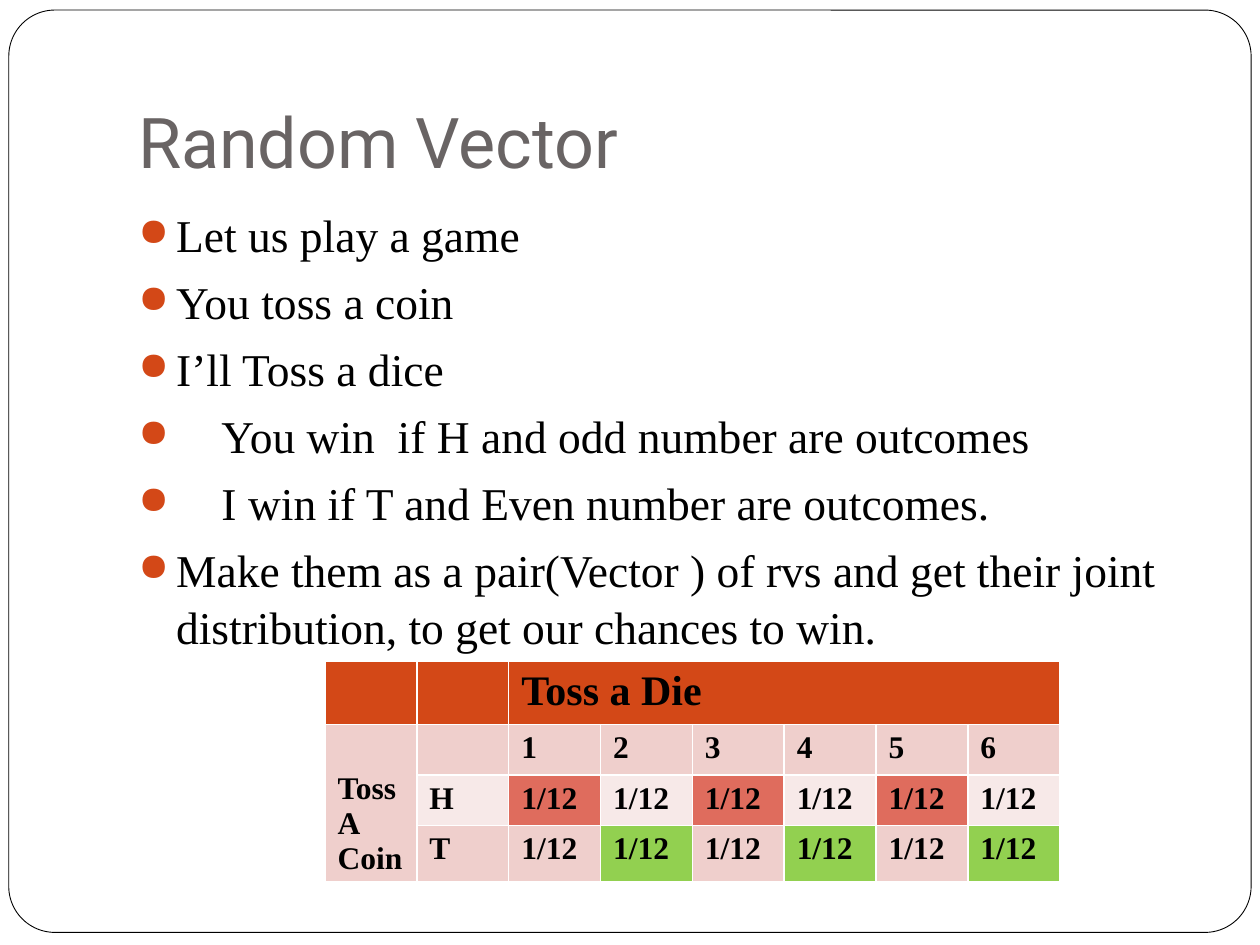
from lxml import etree
from pptx import Presentation
from pptx.dml.color import RGBColor
from pptx.enum import shapes, text
from pptx.oxml import parse_xml
from pptx.oxml.ns import nsdecls, qn
from pptx.util import Inches, Pt

SERIF = "Times New Roman"


def color(fmt, value):
    """Give a fill a solid colour."""
    fmt.solid()
    fmt.fore_color.rgb = RGBColor.from_string(value)


def style(p, size, value, name=SERIF, bold=False):
    p.font.size, p.font.name, p.font.bold = Pt(size), name, bold
    color(p.font.fill, value)


prs = Presentation()
prs.slide_width, prs.slide_height = Inches(10), Inches(7.5)
s = prs.slides.add_slide(prs.slide_layouts[6])

# Rounded frame
frame = s.shapes.add_shape(shapes.MSO_SHAPE.ROUNDED_RECTANGLE,
                           Inches(0.07), Inches(0.08), Inches(9.86), Inches(7.32))
frame.adjustments[0] = 0.05
frame.shadow.inherit = False
color(frame.fill, "FFFFFF")
color(frame.line.fill, "000000")
frame.line.width = Pt(0.5)

# Title
title = s.shapes.add_textbox(Inches(1), Inches(0.3), Inches(8.5), Inches(1.25))
tf = title.text_frame
tf.word_wrap = True
tf.vertical_anchor = text.MSO_ANCHOR.BOTTOM
tf.margin_bottom = Inches(0.1)
tf.text = "Random Vector"
style(tf.paragraphs[0], 40, "696464", "Roboto")

# Bullets: text and left margin in inches
bullets = [
    ("Let us play a game", 0.3),
    ("You toss a coin", 0.3),
    ("I’ll Toss a dice", 0.3),
    ("You win  if H and odd number are outcomes", 0.66),
    ("I win if T and Even number are outcomes.", 0.66),
    ("Make them as a pair(Vector ) of rvs and get their joint "
     "distribution, to get our chances to win.", 0.3),
]
body = s.shapes.add_textbox(Inches(1), Inches(1.58), Inches(8.5), Inches(5))
tf = body.text_frame
tf.word_wrap = True
for i, (line, margin) in enumerate(bullets):
    p = tf.paragraphs[0] if i == 0 else tf.add_paragraph()
    p.text = line
    p.space_before = Pt(5.8)
    p.line_spacing = 1.04
    style(p, 26, "000000")
    pPr = p._p.get_or_add_pPr()
    pPr.set("marL", str(Inches(margin)))
    pPr.set("indent", str(-Inches(margin)))
    bullet = [f'<a:buClr {nsdecls("a")}><a:srgbClr val="D34817"/></a:buClr>',
              f'<a:buSzPct {nsdecls("a")} val="85000"/>',
              f'<a:buChar {nsdecls("a")} char="●"/>']
    at = list(pPr).index(pPr.find(qn("a:defRPr")))
    for k, xml in enumerate(bullet):
        pPr.insert(at + k, parse_xml(xml))

# Joint distribution table
rows = [
    ["", "", "Toss a Die", "", "", "", "", ""],
    ["Toss A\nCoin", "", "1", "2", "3", "4", "5", "6"],
    ["", "H"] + ["1/12"] * 6,
    ["", "T"] + ["1/12"] * 6,
]
row_fills = ["D34817", "EFCFCC", "F7E9E8", "EFCFCC"]
heights = [0.47, 0.38, 0.38, 0.45]
tbl = s.shapes.add_table(4, 8, Inches(2.58), Inches(5.25),
                         Inches(5.83), Inches(sum(heights))).table
for col in tbl.columns:
    col.width = Inches(5.83 / 8)
for r, row in enumerate(rows):
    tbl.rows[r].height = Inches(heights[r])
    for c, value in enumerate(row):
        cell = tbl.cell(r, c)
        cell.text = value
        for p in cell.text_frame.paragraphs:
            style(p, 24 if r == 0 else 18, "000000", bold=True)
        fill = row_fills[r]
        if r == 2 and c in (2, 4, 6):    # H and odd
            fill = "DF6C5D"
        elif r == 3 and c in (3, 5, 7):  # T and even
            fill = "92D050"
        color(cell.fill, fill)
        tcPr = cell._tc.get_or_add_tcPr()
        for k, side in enumerate(("lnL", "lnR", "lnT", "lnB")):
            ln = etree.Element(qn(f"a:{side}"), w=str(Pt(1)))
            solid = etree.SubElement(ln, qn("a:solidFill"))
            etree.SubElement(solid, qn("a:srgbClr"), val="FFFFFF")
            tcPr.insert(k, ln)
tbl.cell(0, 2).merge(tbl.cell(0, 7))
tbl.cell(1, 0).merge(tbl.cell(3, 0))
tbl.cell(1, 0).vertical_anchor = text.MSO_ANCHOR.BOTTOM

prs.save("out.pptx")
